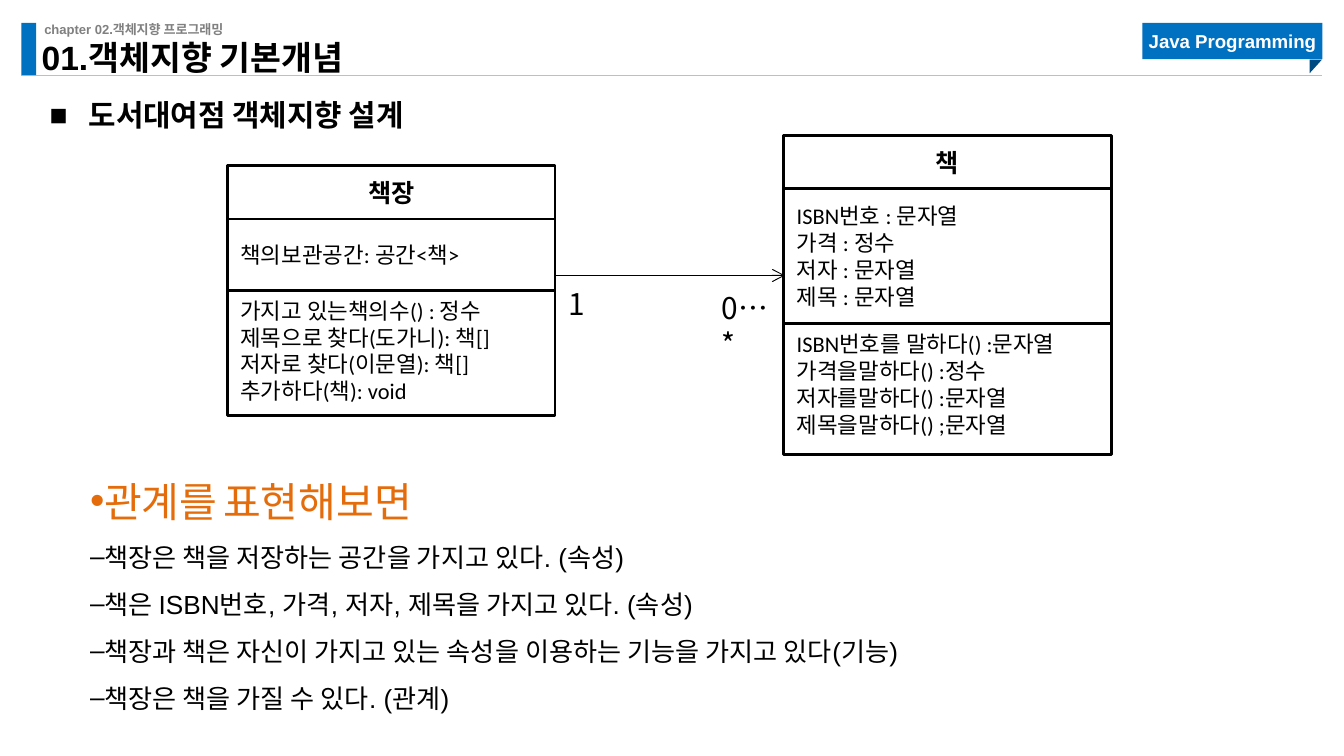
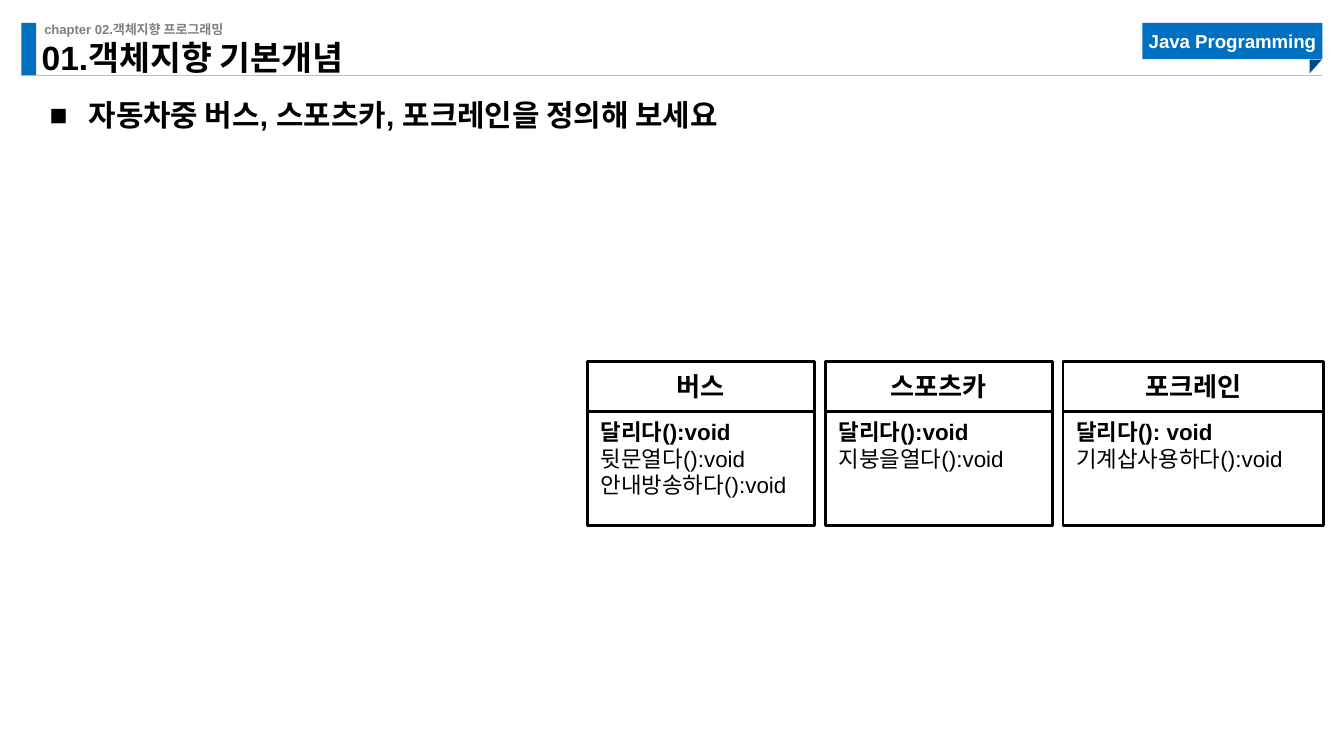
from lxml import etree
from pptx import Presentation
from pptx.dml.color import RGBColor
from pptx.enum.shapes import MSO_CONNECTOR, MSO_SHAPE
from pptx.enum.text import MSO_ANCHOR as Anchor, PP_ALIGN as Align
from pptx.oxml.ns import qn
from pptx.util import Inches, Pt

BLACK = RGBColor(0x00, 0x00, 0x00)
WHITE = RGBColor(0xFF, 0xFF, 0xFF)
BLUE = RGBColor(0x00, 0x70, 0xC0)
DARK_BLUE = RGBColor(0x00, 0x4A, 0x82)
GRAY = RGBColor(0x80, 0x80, 0x80)
RULE_GRAY = RGBColor(0xBF, 0xBF, 0xBF)
ORANGE = RGBColor(0xE4, 0x6C, 0x0A)

ARIAL = "Arial"
CALIBRI = "Calibri"
KOREAN = "Noto Sans CJK KR"


def add_run(paragraph, text, size, font=ARIAL, color=BLACK, bold=False):
    run = paragraph.add_run()
    run.text = text
    run.font.size = Pt(size)
    run.font.name = font
    run.font.bold = bold
    run.font.color.rgb = color
    east_asian = etree.Element(qn("a:ea"), typeface=KOREAN)
    run.font._element.find(qn("a:latin")).addnext(east_asian)


def add_bullet(paragraph, character, indent=0):
    """Give the paragraph a bullet that hangs by indent inches."""
    properties = paragraph._p.get_or_add_pPr()
    properties.set("marL", str(Inches(indent)))
    properties.set("indent", str(-Inches(indent)))
    etree.SubElement(properties, qn("a:buFont"), typeface=ARIAL)
    etree.SubElement(properties, qn("a:buChar"), char=character)


def clear_margins(frame):
    frame.margin_left = frame.margin_right = 0
    frame.margin_top = frame.margin_bottom = 0


def next_paragraph(frame, index):
    return frame.add_paragraph() if index else frame.paragraphs[0]


def add_text_frame(slide, left, top, width, height, anchor=Anchor.TOP):
    """Add a wrapping text box without margins and return its frame."""
    box = slide.shapes.add_textbox(
        Inches(left), Inches(top), Inches(width), Inches(height))
    frame = box.text_frame
    frame.word_wrap = True
    frame.vertical_anchor = anchor
    clear_margins(frame)
    return frame


def add_block(shapes, left, top, width, height, fill=None,
              preset=MSO_SHAPE.RECTANGLE):
    """Add a filled shape, or a black outline when there is no fill."""
    shape = shapes.add_shape(
        preset, Inches(left), Inches(top), Inches(width), Inches(height))
    shape.shadow.inherit = False
    if fill is None:
        shape.fill.background()
        shape.line.color.rgb = BLACK
        shape.line.width = Pt(1.5)
    else:
        shape.fill.solid()
        shape.fill.fore_color.rgb = fill
        shape.line.fill.background()
    return shape


def add_line(slide, start, end, color, arrow=False):
    line = slide.shapes.add_connector(
        MSO_CONNECTOR.STRAIGHT, *(Inches(value) for value in start + end))
    line.line.color.rgb = color
    line.line.width = Pt(0.5)
    if arrow:
        etree.SubElement(line.line._get_or_add_ln(), qn("a:tailEnd"), type="arrow")
    etree.SubElement(line._element.spPr, qn("a:effectLst"))


def add_header(slide):
    add_line(slide, (0.16, 0.56), (9.84, 0.56), RULE_GRAY)
    add_block(slide.shapes, 0.16, 0.17, 0.11, 0.39, BLUE)
    chapter = add_text_frame(slide, 0.33, 0.16, 3.23, 0.12)
    add_run(chapter.paragraphs[0], "chapter 02.객체지향 프로그래밍", 7,
            color=GRAY, bold=True)

    ribbon = add_block(slide.shapes, 8.5, 0.17, 1.34, 0.27, BLUE)
    clear_margins(ribbon.text_frame)
    ribbon.text_frame.vertical_anchor = Anchor.MIDDLE
    label = ribbon.text_frame.paragraphs[0]
    label.alignment = Align.CENTER
    add_run(label, "Java Programming", 10, color=WHITE, bold=True)
    fold = add_block(slide.shapes, 9.74, 0.45, 0.1, 0.09, DARK_BLUE,
                     MSO_SHAPE.RIGHT_TRIANGLE)
    fold.rotation = 90

    title = add_text_frame(slide, 0.31, 0.35, 3.3, 0.23, Anchor.BOTTOM)
    title.paragraphs[0].line_spacing = 0.9
    add_run(title.paragraphs[0], "01.객체지향 기본개념", 18, bold=True)


def add_topic_slide(presentation, topic):
    slide = presentation.slides.add_slide(presentation.slide_layouts[6])
    add_header(slide)
    paragraph = add_text_frame(slide, 0.37, 0.59, 9.54, 0.33).paragraphs[0]
    paragraph.line_spacing = 1.5
    add_bullet(paragraph, "■", 0.29)
    add_run(paragraph, topic, 16, bold=True)
    return slide


def add_class_box(slide, left, top, width, name, name_height, sections,
                  font=ARIAL, name_size=14, bold_first=False):
    """Stack a class name over sections of (height, anchor, lines)."""
    shapes = slide.shapes.add_group_shape().shapes
    heading = add_block(shapes, left, top, width, name_height)
    heading.text_frame.vertical_anchor = Anchor.MIDDLE
    paragraph = heading.text_frame.paragraphs[0]
    paragraph.alignment = Align.CENTER
    add_run(paragraph, name, name_size, font, bold=True)

    top += name_height
    for height, anchor, lines in sections:
        frame = add_block(shapes, left, top, width, height).text_frame
        frame.vertical_anchor = anchor
        for index, text in enumerate(lines):
            paragraph = next_paragraph(frame, index)
            paragraph.alignment = Align.LEFT
            add_run(paragraph, text, 12, font, bold=bold_first and index == 0)
        top += height


def add_multiplicity(slide, left, top, width, text):
    box = slide.shapes.add_textbox(
        Inches(left), Inches(top), Inches(width), Inches(0.37))
    box.text_frame.word_wrap = True
    add_run(box.text_frame.paragraphs[0], text, 16, KOREAN)


def add_relations(slide, sentences):
    frame = add_text_frame(slide, 0.67, 3.36, 8.72, 1.97)
    heading = frame.paragraphs[0]
    heading.line_spacing = 1.5
    add_bullet(heading, "•")
    add_run(heading, "관계를", 22, KOREAN, ORANGE)
    add_run(heading, " ", 14)
    add_run(heading, "표현해보면", 22, KOREAN, ORANGE)
    for sentence in sentences:
        paragraph = frame.add_paragraph()
        paragraph.line_spacing = 1.5
        add_bullet(paragraph, "–")
        add_run(paragraph, sentence, 14)


def build_library_slide(presentation):
    slide = add_topic_slide(presentation, "도서대여점 객체지향 설계")
    add_relations(slide, [
        "책장은 책을 저장하는 공간을 가지고 있다. (속성)",
        "책은 ISBN번호, 가격, 저자, 제목을 가지고 있다. (속성)",
        "책장과 책은 자신이 가지고 있는 속성을 이용하는 기능을 가지고 있다(기능)",
        "책장은 책을 가질 수 있다. (관계)",
    ])
    add_class_box(slide, 1.69, 1.23, 2.44, "책장", 0.4, [
        (0.53, Anchor.MIDDLE, ["책의보관공간: 공간<책>"]),
        (0.93, Anchor.TOP, [
            "가지고 있는책의수() : 정수",
            "제목으로 찾다(도가니): 책[]",
            "저자로 찾다(이문열): 책[]",
            "추가하다(책): void",
        ]),
    ], CALIBRI, 13.5)
    add_class_box(slide, 5.83, 1.01, 2.44, "책", 0.39, [
        (1.01, Anchor.MIDDLE, [
            "ISBN번호 : 문자열", "가격 : 정수", "저자 : 문자열", "제목 : 문자열",
        ]),
        (0.97, Anchor.TOP, [
            "ISBN번호를 말하다() :문자열",
            "가격을말하다() :정수",
            "저자를말하다() :문자열",
            "제목을말하다() ;문자열",
        ]),
    ], CALIBRI, 13.5)
    add_line(slide, (4.14, 2.05), (5.84, 2.05), BLACK, arrow=True)
    add_multiplicity(slide, 4.13, 2.08, 0.33, "1")
    add_multiplicity(slide, 5.27, 2.11, 0.59, "0…*")


def build_vehicle_slide(presentation):
    slide = add_topic_slide(
        presentation, "자동차중 버스, 스포츠카, 포크레인을 정의해 보세요")
    vehicles = [
        ("버스", 1.69, ["달리다():void", "뒷문열다():void", "안내방송하다():void"]),
        ("스포츠카", 1.69, ["달리다():void", "지붕을열다():void"]),
        ("포크레인", 1.94, ["달리다(): void", "기계삽사용하다():void"]),
    ]
    left, gap = 4.37, 0.08
    for name, width, methods in vehicles:
        add_class_box(slide, left, 2.69, width, name, 0.37,
                      [(0.85, Anchor.TOP, methods)], bold_first=True)
        left += width + gap


def main():
    presentation = Presentation()
    presentation.slide_width = Inches(10)
    presentation.slide_height = Inches(10 * 9 / 16)
    build_library_slide(presentation)
    build_vehicle_slide(presentation)
    presentation.save("out.pptx")


if __name__ == "__main__":
    main()
